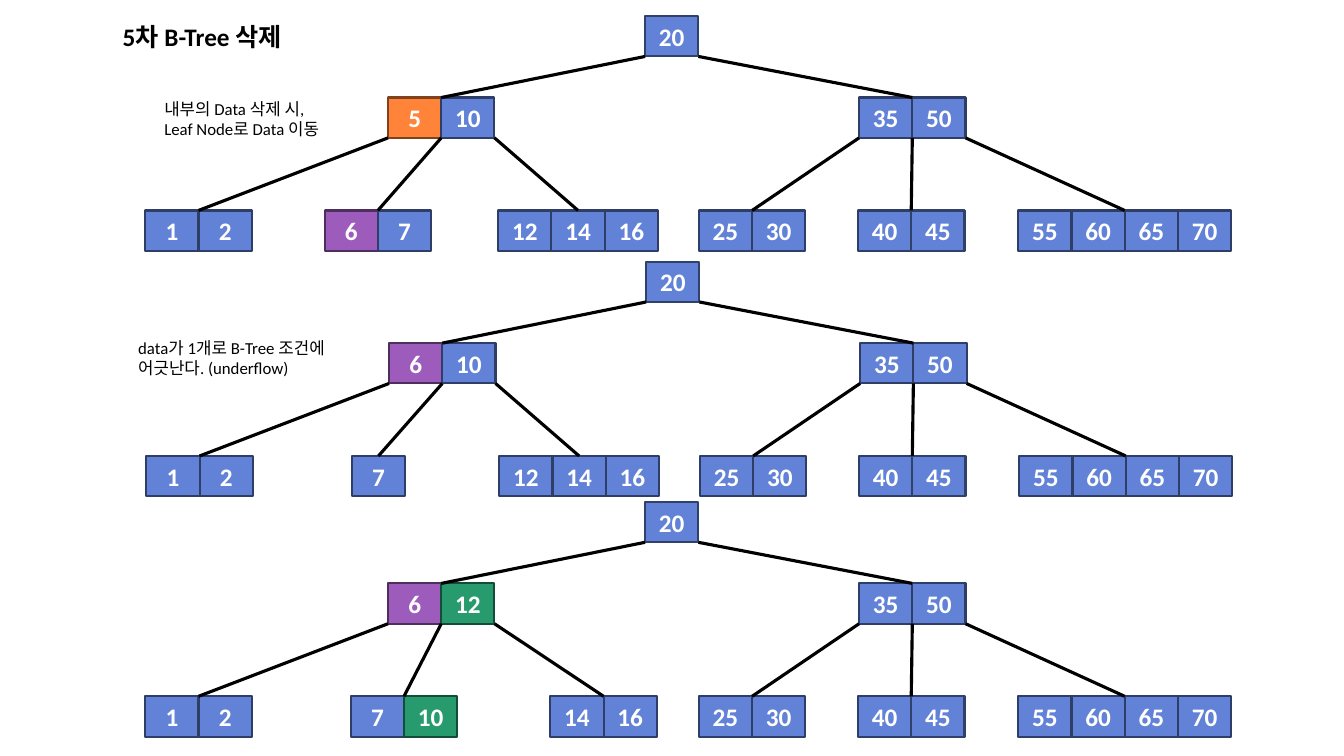
from lxml.etree import SubElement
from pptx import Presentation
from pptx.dml.color import RGBColor
from pptx.enum.shapes import MSO_CONNECTOR, MSO_SHAPE
from pptx.enum.text import MSO_ANCHOR, MSO_AUTO_SIZE, PP_ALIGN
from pptx.oxml.ns import qn
from pptx.util import Inches, Pt

# Grid: one key cell is one column wide and one row high
COLS, ROWS = 25.25, 18.75
PARENT_DROP, LEAF_DROP = 2.02, 4.82
ROOT_X, LEFT_X, RIGHT_X = 9.39, 4.56, 13.41

# Fill and outline of each kind of cell
BLUE = ("6182D6", "2E3E67")
BLUE_DEEP = ("6182D6", "30416A")
ORANGE = ("FF843A", "7F421D")
PURPLE = ("9D5CBB", "4E2E5D")
GREEN = ("289B6E", "144D37")

# Leaves are (column, keys), with columns counted from the first leaf
FIRST_LEAF = (0, [1, 2])
FULL_LEAF = (6.63, [12, 14, 16])
RIGHT_LEAVES = [(10.4, [25, 30]), (13.39, [40, 45]), (16.4, [55, 60, 65, 70])]

# Each tree: left edge, top edge, left parent keys, left leaves, marked keys
TREES = [
    (2.73, 0.4, [5, 10], [FIRST_LEAF, (3.37, [6, 7]), FULL_LEAF],
     {5: ORANGE, 6: PURPLE}),
    (2.75, 6.49, [6, 10], [FIRST_LEAF, (3.86, [7]), FULL_LEAF],
     {6: PURPLE}),
    (2.73, 12.45, [6, 12], [FIRST_LEAF, (3.86, [7, 10]), (7.61, [14, 16])],
     {6: PURPLE, 10: GREEN, 12: GREEN}),
]


def rgb(value):
    return RGBColor.from_string(value)


def add_text(p, text, size=18, bold=False, color="000000", align=PP_ALIGN.LEFT):
    p.alignment = align
    r = p.add_run()
    r.text = text
    r.font.name = "Calibri"
    r.font.size = Pt(size)
    r.font.bold = bold
    r.font.color.rgb = rgb(color)


class TreeSlide:
    def __init__(self, prs):
        self.s = prs.slides.add_slide(prs.slide_layouts[6])
        self.col = prs.slide_width / COLS
        self.row = prs.slide_height / ROWS

    def x(self, cols):
        return round(cols * self.col)

    def y(self, rows):
        return round(rows * self.row)

    def note(self, x, y, w, h, lines, **style):
        box = self.s.shapes.add_textbox(self.x(x), self.y(y), self.x(w), self.y(h))
        tf = box.text_frame
        tf.word_wrap = True
        tf.auto_size = MSO_AUTO_SIZE.SHAPE_TO_FIT_TEXT
        for i, line in enumerate(lines):
            p = tf.add_paragraph() if i else tf.paragraphs[0]
            add_text(p, line, **style)

    def cell(self, x, y, key, colors):
        sp = self.s.shapes.add_shape(MSO_SHAPE.RECTANGLE, self.x(x), self.y(y),
                                     self.x(1), self.y(1))
        sp.shadow.inherit = False
        fill, line = colors
        sp.fill.solid()
        sp.fill.fore_color.rgb = rgb(fill)
        sp.line.color.rgb = rgb(line)
        sp.line.width = Pt(1.5)
        tf = sp.text_frame
        tf.vertical_anchor = MSO_ANCHOR.MIDDLE
        add_text(tf.paragraphs[0], str(key), bold=True, color="FFFFFF",
                 align=PP_ALIGN.CENTER)
        return sp

    def node(self, x, y, keys, marks):
        return [self.cell(x + i, y, key, marks.get(key, BLUE))
                for i, key in enumerate(keys)]

    def edge(self, x, y, child_x, child_y, child):
        """Join a lower corner of the parent to the top middle of the child."""
        end_x = child_x + len(child) / 2
        cx = self.s.shapes.add_connector(MSO_CONNECTOR.STRAIGHT, self.x(x), self.y(y),
                                         self.x(end_x), self.y(child_y))
        if len(child) % 2:
            cx.end_connect(child[len(child) // 2], 0)
        cx.line.color.rgb = rgb("000000")
        cx.line.width = Pt(2.25)
        SubElement(cx._element.spPr, qn("a:effectLst"))

    def tree(self, left, top, left_keys, left_leaves, marks):
        marks = {20: BLUE_DEEP, 45: BLUE_DEEP, **marks}
        parent_y, leaf_y = top + PARENT_DROP, top + LEAF_DROP
        self.node(left + ROOT_X, top, [20], marks)
        branches = [(LEFT_X, left_keys, left_leaves),
                    (RIGHT_X, [35, 50], RIGHT_LEAVES)]
        for side, (parent_x, keys, leaves) in enumerate(branches):
            px = left + parent_x
            parent = self.node(px, parent_y, keys, marks)
            self.edge(left + ROOT_X + side, top + 1, px, parent_y, parent)
            for i, (leaf_x, leaf_keys) in enumerate(leaves):
                leaf = self.node(left + leaf_x, leaf_y, leaf_keys, marks)
                self.edge(px + i, parent_y + 1, left + leaf_x, leaf_y, leaf)


def main():
    prs = Presentation()
    prs.slide_width, prs.slide_height = Inches(13.33), Inches(7.5)
    slide = TreeSlide(prs)

    # Title and remarks
    slide.note(2.12, 0.4, 3.52, 1, ["5차 B-Tree 삭제"], bold=True)
    slide.note(2.9, 2.32, 4.19, 1.22,
               ["내부의 Data 삭제 시,", "Leaf Node로 Data 이동"], size=12)
    slide.note(2.41, 8.25, 4.19, 1.25,
               ["data가 1개로 B-Tree 조건에 어긋난다. (underflow)"], size=12)

    # The three stages of the deletion
    for stage in TREES:
        slide.tree(*stage)

    prs.save("out.pptx")


if __name__ == "__main__":
    main()
